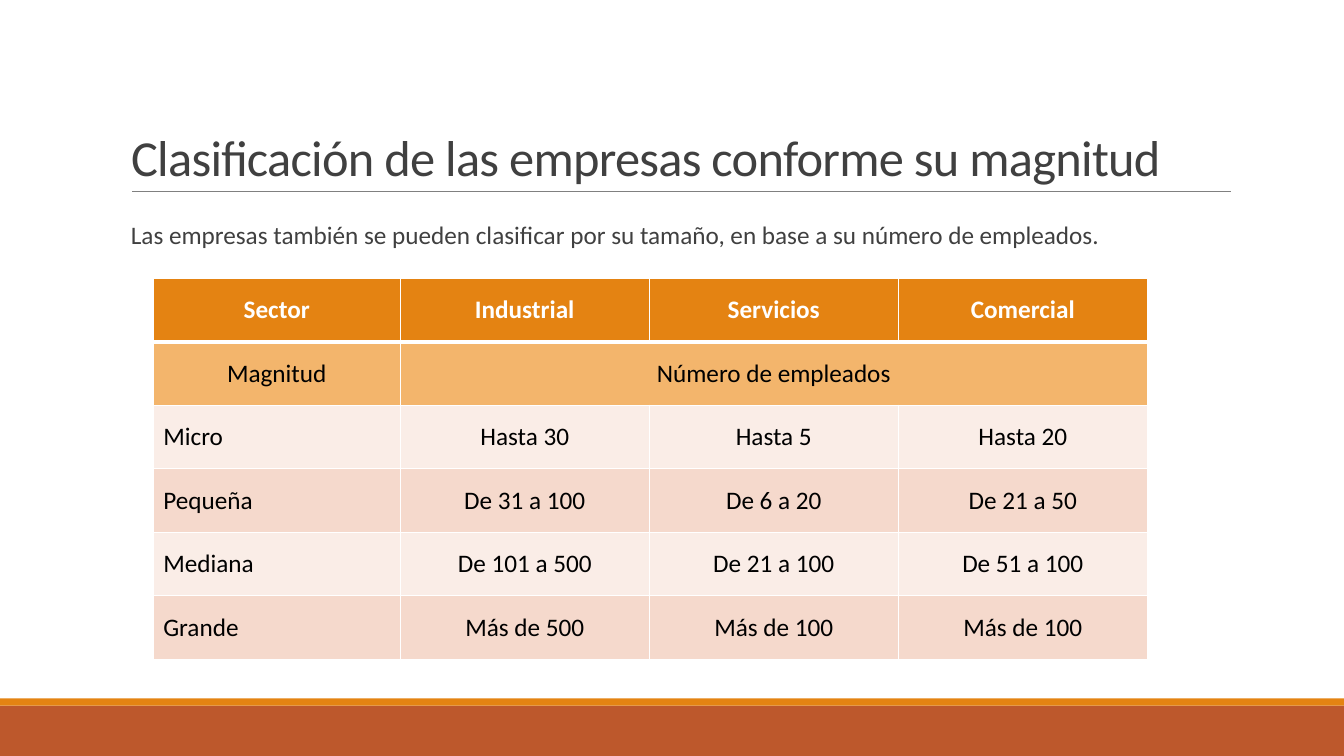
from lxml import etree
from pptx import Presentation
from pptx.dml.color import RGBColor
from pptx.enum.shapes import MSO_CONNECTOR, MSO_SHAPE
from pptx.enum.text import MSO_ANCHOR, MSO_AUTO_SIZE, PP_ALIGN
from pptx.oxml.ns import qn
from pptx.util import Inches, Pt

WHITE = RGBColor(0xFF, 0xFF, 0xFF)
BLACK = RGBColor(0x00, 0x00, 0x00)
DARK_GRAY = RGBColor(0x40, 0x40, 0x40)
RULE_GRAY = RGBColor(0x80, 0x80, 0x80)
RUST = RGBColor(0xBD, 0x58, 0x2C)
ORANGE = RGBColor(0xE4, 0x83, 0x12)
LIGHT_ORANGE = RGBColor(0xF3, 0xB5, 0x6C)
PALE = RGBColor(0xFA, 0xED, 0xE7)
PEACH = RGBColor(0xF5, 0xD9, 0xCC)


def write(tf, text, size=18, color=BLACK, bold=False, align=PP_ALIGN.LEFT):
    p = tf.paragraphs[0]
    p.alignment = align
    r = p.add_run()
    r.text = text
    r.font.name = "Calibri"
    r.font.size = Pt(size)
    r.font.bold = bold
    r.font.color.rgb = color
    return r


def add_border(cell, side, width):
    ln = etree.SubElement(cell._tc.get_or_add_tcPr(), qn(f"a:ln{side}"), w=str(Pt(width)))
    fill = etree.SubElement(ln, qn("a:solidFill"))
    etree.SubElement(fill, qn("a:srgbClr"), val=str(WHITE))


prs = Presentation()
prs.slide_width, prs.slide_height = Inches(13.33), Inches(7.5)
s = prs.slides.add_slide(prs.slide_layouts[5])

# Footer bands
for top, height, color in [(7, 0.5, RUST), (6.93, 0.07, ORANGE)]:
    band = s.shapes.add_shape(MSO_SHAPE.RECTANGLE, 0, Inches(top), prs.slide_width, Inches(height))
    band.shadow.inherit = False
    band.fill.solid()
    band.fill.fore_color.rgb = color
    band.line.fill.background()

# Title and its rule
title = s.shapes.title
title.left, title.top, title.width, title.height = map(Inches, (1.2, 0.31, 11, 1.59))
tf = title.text_frame
tf.word_wrap = True
tf.auto_size = MSO_AUTO_SIZE.NONE
tf.vertical_anchor = MSO_ANCHOR.BOTTOM
r = write(tf, "Clasificación de las empresas conforme su magnitud", size=36, color=DARK_GRAY)
r.font._element.set("spc", "-50")
tf.paragraphs[0].line_spacing = 0.85

rule = s.shapes.add_connector(
    MSO_CONNECTOR.STRAIGHT, Inches(1.31), Inches(1.9), Inches(12.21), Inches(1.9))
rule.line.color.rgb = RULE_GRAY
rule.line.width = Pt(0.5)
etree.SubElement(rule._element.spPr, qn("a:effectLst"))

# Table of company sizes
rows = [
    ("Sector", "Industrial", "Servicios", "Comercial"),
    ("Magnitud", "Número de empleados", "", ""),
    ("Micro", "Hasta 30", "Hasta 5", "Hasta 20"),
    ("Pequeña", "De 31 a 100", "De 6 a 20", "De 21 a 50"),
    ("Mediana", "De 101 a 500", "De 21 a 100", "De 51 a 100"),
    ("Grande", "Más de 500", "Más de 100", "Más de 100"),
]
row_fills = [ORANGE, LIGHT_ORANGE, PALE, PEACH, PALE, PEACH]

table = s.shapes.add_table(
    len(rows), 4, Inches(1.52), Inches(2.76), Inches(9.86), Inches(3.78)).table
for column, width in zip(table.columns, (2.45, 2.47, 2.47, 2.47)):
    column.width = Inches(width)
table.cell(1, 1).merge(table.cell(1, 3))

for i, (row, fill) in enumerate(zip(rows, row_fills)):
    is_header = i == 0
    for j, text in enumerate(row):
        cell = table.cell(i, j)
        for side in "LRTB":
            thick = (i, side) in [(0, "B"), (1, "T")]
            add_border(cell, side, 3 if thick else 1)
        cell.fill.solid()
        cell.fill.fore_color.rgb = fill
        cell.vertical_anchor = MSO_ANCHOR.MIDDLE
        if text:
            is_size_name = i > 1 and j == 0
            write(cell.text_frame, text, color=WHITE if is_header else BLACK, bold=is_header,
                  align=PP_ALIGN.LEFT if is_size_name else PP_ALIGN.CENTER)

# Introductory sentence
intro = s.shapes.add_textbox(Inches(1.2), Inches(2.13), Inches(10.04), Inches(0.4))
intro.text_frame.word_wrap = False
intro.text_frame.auto_size = MSO_AUTO_SIZE.SHAPE_TO_FIT_TEXT
write(intro.text_frame,
      "Las empresas también se pueden clasificar por su tamaño, en base a su número de empleados.",
      color=DARK_GRAY)

prs.save("out.pptx")
